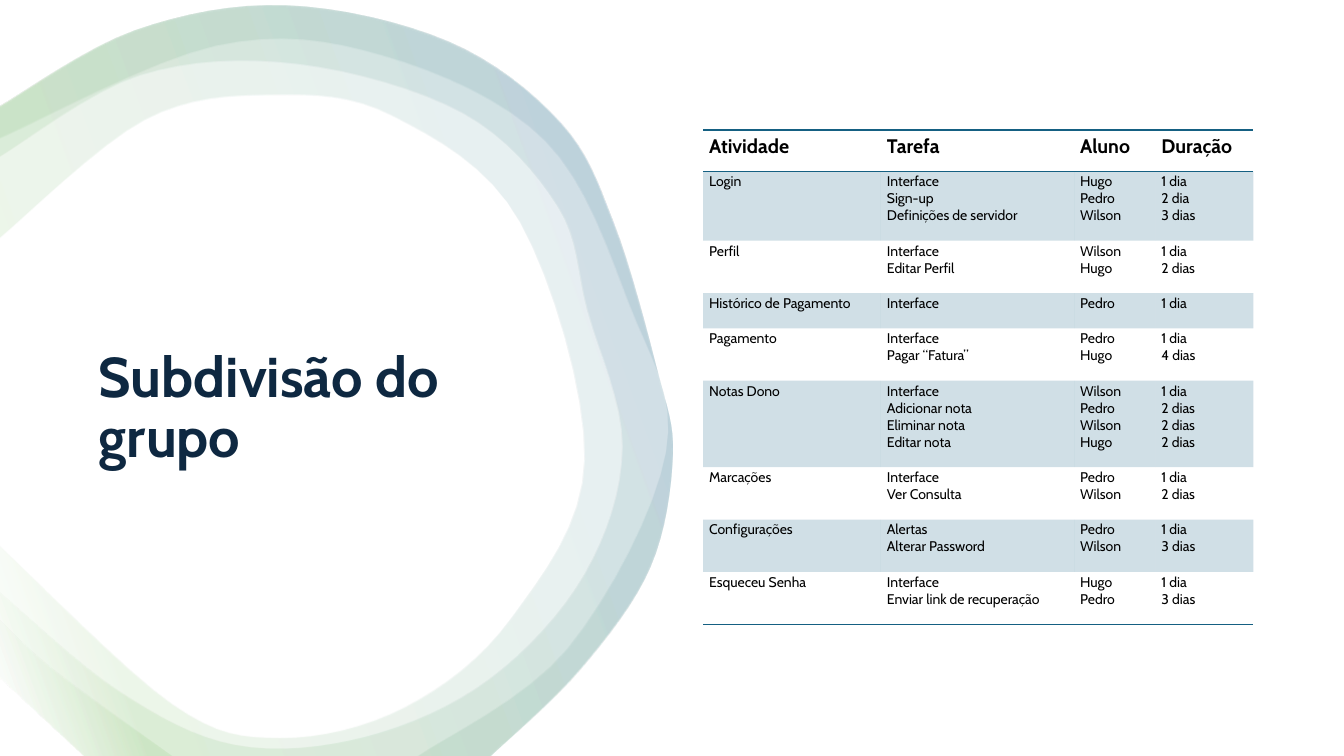
import pptx
import pptx.dml.color
import pptx.enum.shapes
import pptx.enum.text
import pptx.oxml
import pptx.oxml.ns
import pptx.util

Pt = pptx.util.Pt
FONT = "Cabin"
COLORS = {"white": "FFFFFF", "black": "000000", "navy": "0E2841", "teal": "156082", "green": "4EA72E"}
NS = pptx.oxml.ns.nsdecls("a")
NO_STYLE = "{2D5ABB26-0587-4C30-8999-92F81FD0307C}"

RIM = [(0, 76), (96, 22), (204, 4), (320, 30), (400, 88), (438, 160), (469, 265), (480, 325),
       (464, 405), (414, 478), (350, 540)]
FOOT = [(60, 540), (0, 484)]
WIDE_HOLE = [(0, 423), (84, 493), (168, 532), (261, 526), (349, 485), (417, 410), (444, 319),
             (419, 222), (398, 148), (330, 81), (212, 46), (100, 54), (0, 112)]
SMALL_HOLE = [(0, 390), (123, 503), (200, 527), (289, 505), (365, 441), (417, 328), (371, 159),
              (280, 83), (194, 68), (103, 86), (0, 170)]
THIN_HOLE = [(298, 540), (405, 463), (475, 323), (449, 218), (389, 101), (273, 40), (154, 33), (0, 99)]
TAIL = [(123, 540), (39, 479), (0, 443)]
RIBBONS = [[[RIM, FOOT, WIDE_HOLE]], [[RIM, FOOT, SMALL_HOLE]], [[RIM, THIN_HOLE], [FOOT, TAIL[::-1]]]]
RIBBONS[2][1] = [FOOT[::-1], TAIL]

HEADINGS = ["Atividade", "Tarefa", "Aluno", "Duração"]
ACTIVITIES = [
    ("Login", [("Interface", "Hugo", "1 dia"), ("Sign-up", "Pedro", "2 dia"),
               ("Definições de servidor", "Wilson", "3 dias")]),
    ("Perfil", [("Interface", "Wilson", "1 dia"), ("Editar Perfil", "Hugo", "2 dias")]),
    ("Histórico de Pagamento", [("Interface", "Pedro", "1 dia")]),
    ("Pagamento", [("Interface", "Pedro", "1 dia"), ("Pagar “Fatura”", "Hugo", "4 dias")]),
    ("Notas Dono", [("Interface", "Wilson", "1 dia"), ("Adicionar nota", "Pedro", "2 dias"),
                    ("Eliminar nota", "Wilson", "2 dias"), ("Editar nota", "Hugo", "2 dias")]),
    ("Marcações", [("Interface", "Pedro", "1 dia"), ("Ver Consulta", "Wilson", "2 dias")]),
    ("Configurações", [("Alertas", "Pedro", "1 dia"), ("Alterar Password", "Wilson", "3 dias")]),
    ("Esqueceu Senha", [("Interface", "Hugo", "1 dia"), ("Enviar link de recuperação", "Pedro", "3 dias")]),
]


def rgb(name):
    return pptx.dml.color.RGBColor.from_string(COLORS[name])


def write(tf, lines, size=10, color="black", bold=False, spacing=None):
    for i, line in enumerate(lines):
        p = tf.paragraphs[0] if i == 0 else tf.add_paragraph()
        p.alignment = pptx.enum.text.PP_ALIGN.LEFT
        if spacing:
            p.line_spacing = spacing
        r = p.add_run()
        r.text = line
        r.font.name = FONT
        r.font.size = Pt(size)
        r.font.bold = bold
        r.font.color.rgb = rgb(color)


def set_margins(frame, left, top, right, bottom):
    frame.margin_left, frame.margin_top = Pt(left), Pt(top)
    frame.margin_right, frame.margin_bottom = Pt(right), Pt(bottom)


def smooth(knots, steps=8):
    ends = [knots[0]] + knots + [knots[-1]]
    curve = [knots[0]]
    for a, b, c, d in zip(ends, ends[1:], ends[2:], ends[3:]):
        for t in (k / steps for k in range(1, steps + 1)):
            curve.append(tuple(
                (2 * q + (r - p) * t + (2 * p - 5 * q + 4 * r - s) * t ** 2
                 + (3 * q - p - 3 * r + s) * t ** 3) / 2
                for p, q, r, s in zip(a, b, c, d)))
    return curve


def add_ribbon(s, contours, x, y):
    fb = None
    for curves in contours:
        outline = [(px * 100, py * 100) for knots in curves for px, py in smooth(knots)]
        if fb is None:
            fb = s.shapes.build_freeform(*outline[0], scale=Pt(1) / 100)
        else:
            fb.move_to(*outline[0])
        fb.add_line_segments(outline[1:], close=True)
    sp = fb.convert_to_shape(Pt(x), Pt(y))
    sp.shadow.inherit = False
    sp.line.fill.background()
    sp.fill.gradient()
    sp.fill.gradient_angle = 20
    stops = "".join(
        f'<a:gs pos="{pos * 1000}"><a:srgbClr val="{COLORS[name]}"><a:alpha val="10000"/></a:srgbClr></a:gs>'
        for pos, name in [(2, "white"), (16, "green"), (85, "teal"), (100, "white")])
    old = sp.element.spPr.find(".//" + pptx.oxml.ns.qn("a:gsLst"))
    old.getparent().replace(old, pptx.oxml.parse_xml(f"<a:gsLst {NS}>{stops}</a:gsLst>"))


def add_backdrop(s, x, y, w, h):
    sp = s.shapes.add_shape(pptx.enum.shapes.MSO_SHAPE.RECTANGLE, Pt(x), Pt(y), Pt(w), Pt(h))
    sp.shadow.inherit = False
    sp.fill.solid()
    sp.fill.fore_color.rgb = rgb("white")
    sp.line.fill.background()
    for contours in RIBBONS:
        add_ribbon(s, contours, x, y)


def add_title(s, text, x, y, w, h):
    title = s.shapes.title
    title.left, title.top, title.width, title.height = Pt(x), Pt(y), Pt(w), Pt(h)
    tf = title.text_frame
    tf.word_wrap = True
    tf.auto_size = pptx.enum.text.MSO_AUTO_SIZE.NONE
    tf.vertical_anchor = pptx.enum.text.MSO_ANCHOR.TOP
    set_margins(tf, 7.2, 3.6, 7.2, 3.6)
    write(tf, [text], size=40, color="navy", bold=True, spacing=0.9)


def format_cell(cell, shaded, edges):
    set_margins(cell, 4.3, 1.4, 6.5, 9.4)
    tcPr = cell._tc.get_or_add_tcPr()
    if shaded:
        cell.fill.solid()
        cell.fill.fore_color.rgb = rgb("teal")
        tcPr.find(".//" + pptx.oxml.ns.qn("a:srgbClr")).append(
            pptx.oxml.parse_xml(f'<a:alpha {NS} val="20000"/>'))
    else:
        cell.fill.background()
    for i, edge in enumerate(edges):
        tcPr.insert(i, pptx.oxml.parse_xml(
            f'<a:ln{edge} {NS} w="12700"><a:solidFill><a:srgbClr val="{COLORS["teal"]}"/>'
            f'</a:solidFill></a:ln{edge}>'))


def add_schedule(s, x, y, w, col_shares):
    heights = [29.5] + [13 + 12.2 * len(tasks) for _, tasks in ACTIVITIES]
    frame = s.shapes.add_table(len(heights), len(col_shares), Pt(x), Pt(y), Pt(w), Pt(sum(heights)))
    table = frame.table
    table.first_row = table.horz_banding = False
    table._tbl.tblPr.find(pptx.oxml.ns.qn("a:tableStyleId")).text = NO_STYLE
    for column, share in zip(table.columns, col_shares):
        column.width = Pt(w * share / sum(col_shares))
    for row, height in zip(table.rows, heights):
        row.height = Pt(height)
    for cell, heading in zip(table.rows[0].cells, HEADINGS):
        format_cell(cell, False, "TB")
        cell.vertical_anchor = pptx.enum.text.MSO_ANCHOR.BOTTOM
        write(cell.text_frame, [heading], size=14, bold=True)
    for i, (activity, tasks) in enumerate(ACTIVITIES, 1):
        for cell, lines in zip(table.rows[i].cells, [[activity], *zip(*tasks)]):
            format_cell(cell, i % 2 == 1, "B" if i == len(ACTIVITIES) else "")
            write(cell.text_frame, lines)


def main():
    prs = pptx.Presentation()
    prs.slide_width, prs.slide_height = Pt(960), Pt(540)
    s = prs.slides.add_slide(prs.slide_layouts[5])
    add_backdrop(s, 0, 0, 960, 540)
    title = s.shapes.title.element
    title.getparent().append(title)
    add_title(s, "Subdivisão do grupo", 63.4, 245.5, 288, 140.4)
    add_schedule(s, 502.3, 92.9, 393, [127, 138, 58, 70])
    prs.save("out.pptx")


if __name__ == "__main__":
    main()
